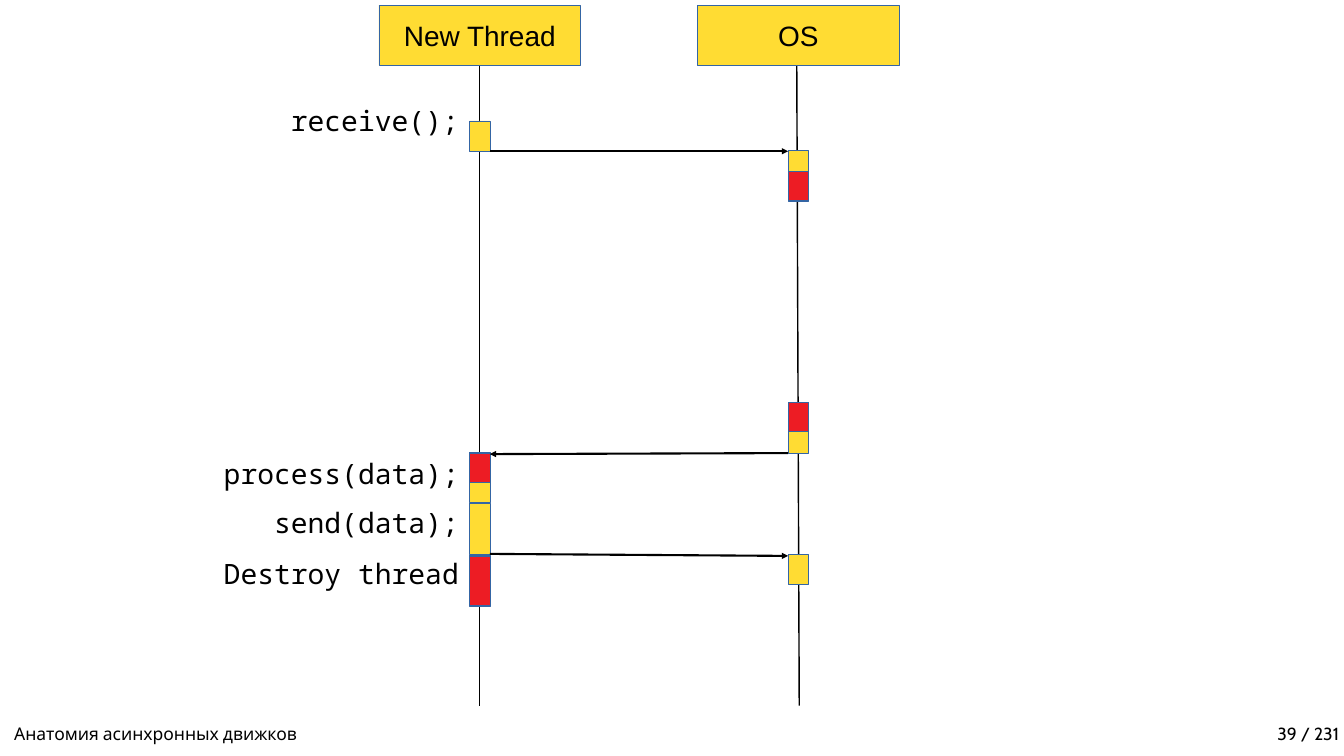
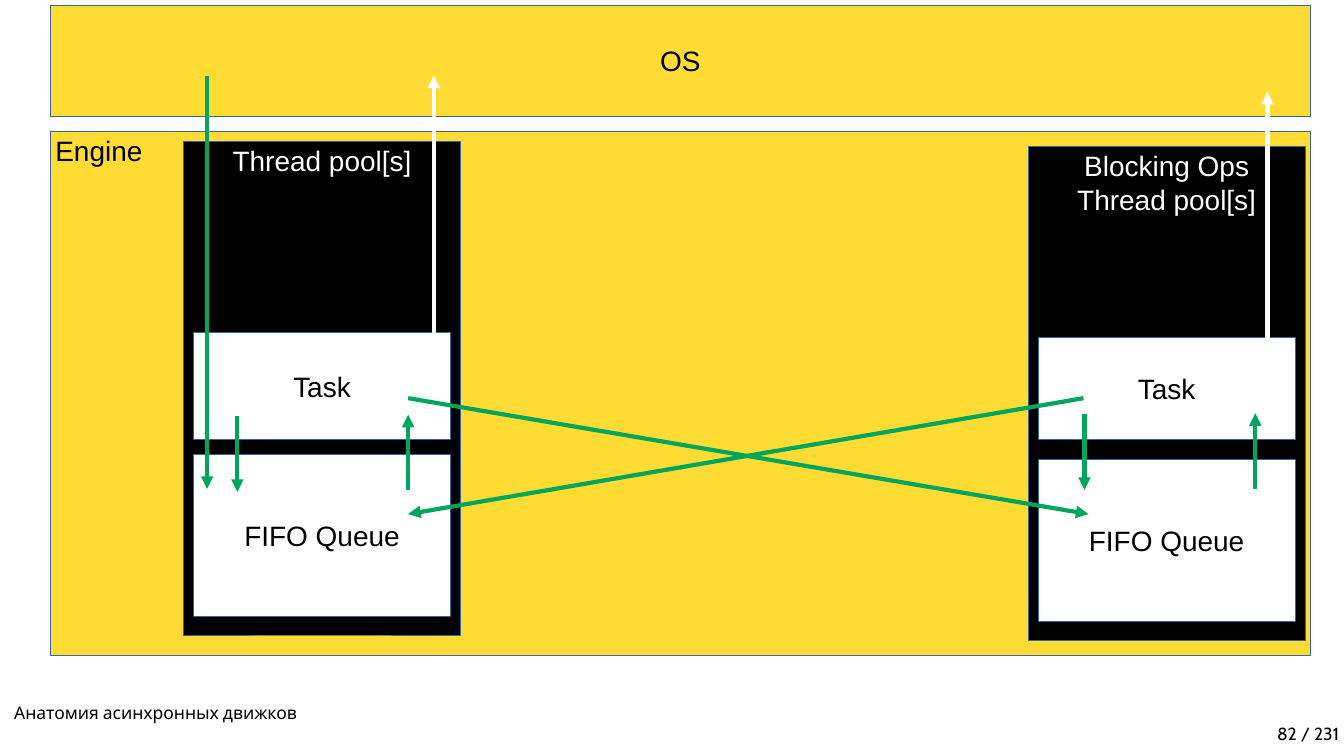
from lxml.etree import SubElement
from pptx import Presentation
from pptx.dml.color import RGBColor
from pptx.enum.shapes import MSO_CONNECTOR as LINE, MSO_SHAPE as SHAPE
from pptx.enum.text import MSO_ANCHOR as ANCHOR, PP_ALIGN as ALIGN
from pptx.oxml.ns import qn
from pptx.util import Cm, Pt

# Shared look
YELLOW = RGBColor(0xFF, 0xDC, 0x33)
RED = RGBColor(0xED, 0x1C, 0x24)
GREEN = RGBColor(0x00, 0xA6, 0x5D)
BLUE = RGBColor(0x34, 0x65, 0xA4)
BLACK = RGBColor(0, 0, 0)
WHITE = RGBColor(0xFF, 0xFF, 0xFF)
SANS, MONO, FOOT = "Arial", "Noto Sans Mono", "Cabin"
WIDTH, HEIGHT = 26.67, 15
GRID = 2.54  # one grid step in centimetres

TALK = "Анатомия асинхронных движков"
TOTAL = 231


def grid(*steps):
    return [Cm(step * GRID) for step in steps]


def write(shape, text, size=40, font=SANS, color=BLACK, align=ALIGN.CENTER,
          anchor=ANCHOR.MIDDLE, space=1.0):
    """Fill a shape with text, one paragraph per line."""
    frame = shape.text_frame
    frame.word_wrap = True
    frame.vertical_anchor = anchor
    frame.text = text
    for para in frame.paragraphs:
        para.alignment = align
        para.line_spacing = space
        para.space_before = para.space_after = Pt(0)
        para.font.size = Pt(size)
        para.font.name = font
        para.font.bold = False
        para.font.color.rgb = color


def box(slide, left, top, width, height, fill=YELLOW, text=None, **style):
    shape = slide.shapes.add_shape(
        SHAPE.RECTANGLE, *grid(left, top, width, height))
    shape.shadow.inherit = False
    shape.fill.solid()
    shape.fill.fore_color.rgb = fill
    shape.line.color.rgb = BLUE
    shape.line.width = Pt(0)
    if text:
        write(shape, text, **style)


def line(slide, start, end, color=BLACK, width=0, arrow=True):
    link = slide.shapes.add_connector(LINE.STRAIGHT, *grid(*start, *end))
    link.line.color.rgb = color
    link.line.width = Pt(width)
    props = link.element.spPr
    if arrow:
        SubElement(props.find(qn("a:ln")), qn("a:tailEnd"), type="triangle")
    SubElement(props, qn("a:effectLst"))


def label(slide, top, text):
    """Code label to the left of the thread lifeline."""
    note = slide.shapes.add_textbox(*grid(3, top, 6.2, 1))
    write(note, text, font=MONO, align=ALIGN.RIGHT, anchor=ANCHOR.TOP)


def new_slide(deck, number, foot_top=14.25):
    """Slide with the talk name and page number in its body placeholders."""
    slide = deck.slides.add_slide(deck.slide_layouts[4])
    feet = {
        1: (0.18, foot_top, TALK, ALIGN.LEFT),
        3: (15.32, 14.25, f"{number} / {TOTAL}", ALIGN.RIGHT),
    }
    for holder in list(slide.placeholders):
        key = holder.placeholder_format.idx
        if key not in feet:
            holder.element.getparent().remove(holder.element)
            continue
        left, top, text, align = feet[key]
        holder.left, holder.top, holder.width, holder.height = grid(
            left, top, 11.35, 0.56)
        write(holder, text, size=25, font=FOOT, align=align,
              anchor=ANCHOR.BOTTOM, space=0.9)
    return slide


def thread_slide(deck):
    slide = new_slide(deck, 39)
    thread, system, bar = 9.32, 15.64, 0.4

    # Lifelines and their heads
    line(slide, (9.52, 0.3), (9.52, 14), arrow=False)
    line(slide, (15.81, 1), (15.86, 14), arrow=False)
    for left, name in ((7.52, "New Thread"), (13.84, "OS")):
        box(slide, left, 0.1, 4, 1.2, text=name)

    # Activity bars, with waiting or switching parts in red
    for left, top, height, fill in (
            (thread, 2.4, 0.6, YELLOW), (system, 2.99, 1, YELLOW),
            (system, 7.99, 1, YELLOW), (thread, 8.97, 1, YELLOW),
            (system, 11, 0.6, YELLOW), (thread, 11.02, 1, YELLOW),
            (thread, 9.99, 1, YELLOW), (thread, 9, 0.57, RED),
            (system, 3.4, 0.57, RED), (system, 7.99, 0.57, RED),
            (thread, 11.04, 0.97, RED)):
        box(slide, left, top, bar, height, fill)

    # Calls between thread and OS
    edge = thread + bar
    for start, end in (((edge, 3), (system, 3)),
                       ((system, 8.99), (edge, 9.01)),
                       ((edge, 10.99), (system, 11.03))):
        line(slide, start, end, width=3)

    for top, text in ((2, "receive();"), (9.01, "process(data);"),
                      (9.99, "send(data);"), (11, "Destroy thread")):
        label(slide, top, text)


def pool(slide, left, top, name, task_top):
    """Thread pool holding a task above its queue."""
    box(slide, left, top, 5.5, 9.8, BLACK, name, color=WHITE,
        anchor=ANCHOR.TOP)
    box(slide, left + 0.2, top + 6.22, 5.1, 3.2, WHITE, "FIFO Queue")
    box(slide, left + 0.2, task_top, 5.1, 8.72 - task_top, WHITE, "Task")


def engine_slide(deck):
    slide = new_slide(deck, 82, foot_top=13.85)

    # Layers and pools
    box(slide, 1, 0.1, 25, 2.2, text="OS")
    box(slide, 1, 2.6, 25, 10.4, text="Engine", align=ALIGN.LEFT,
        anchor=ANCHOR.TOP)
    pool(slide, 20.4, 2.9, "Blocking Ops\nThread pool[s]", 6.7)
    pool(slide, 3.64, 2.8, "Thread pool[s]", 6.6)

    # Between task and queue, 1.5 steps down or up
    for x, start, step in ((4.71, 8.26, 1.5), (8.1, 9.73, -1.5),
                           (21.52, 8.22, 1.5), (24.91, 9.7, -1.5)):
        line(slide, (x, start), (x, start + step), GREEN, 6)

    # Across the pools, then from and to the OS
    for start, end, color in (((8.1, 7.9), (21.6, 10.2), GREEN),
                              ((21.5, 7.9), (8.1, 10.2), GREEN),
                              ((4.11, 1.5), (4.11, 9.7), GREEN),
                              ((8.61, 6.6), (8.61, 1.5), WHITE),
                              ((25.15, 6.7), (25.15, 1.82), WHITE)):
        line(slide, start, end, color, 6)


def main():
    deck = Presentation()
    deck.slide_width, deck.slide_height = grid(WIDTH, HEIGHT)
    thread_slide(deck)
    engine_slide(deck)
    deck.save("out.pptx")


if __name__ == "__main__":
    main()
